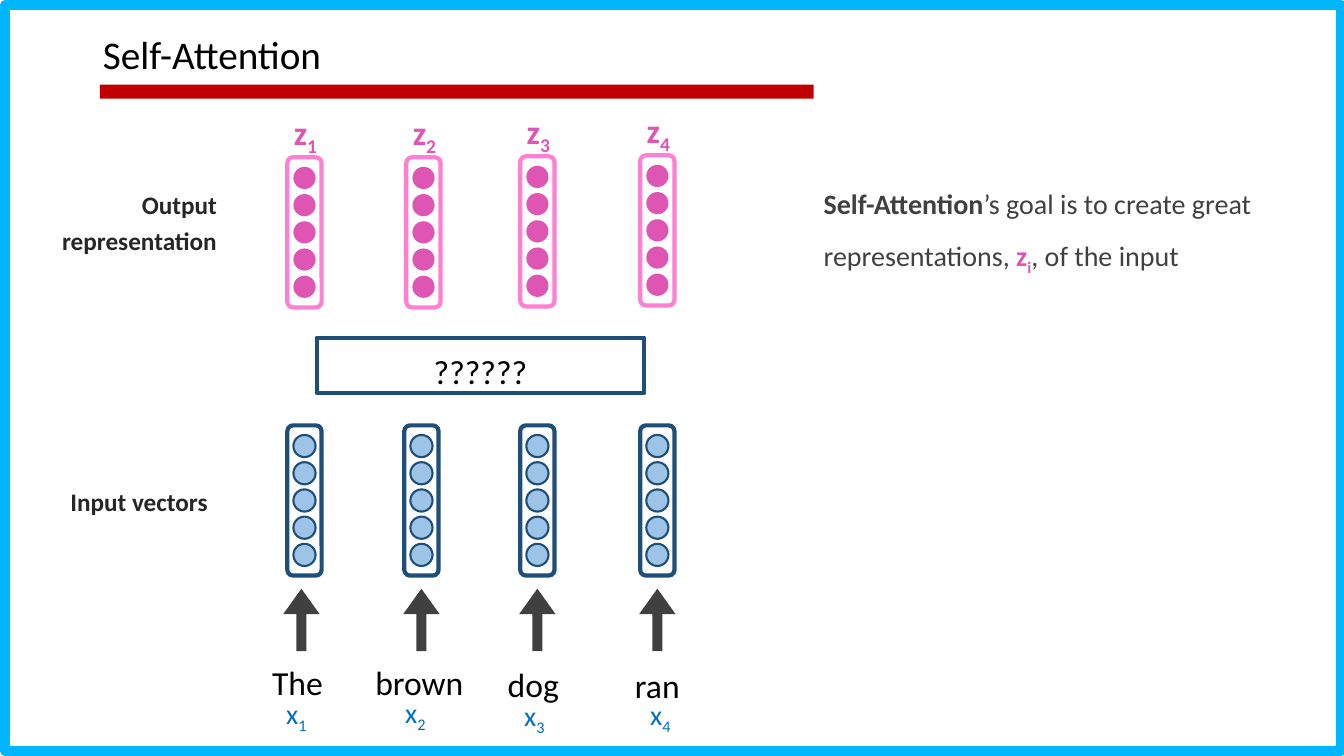
"""Build the Self-Attention slide: input vectors, a hidden step and output representations."""
from dataclasses import dataclass

from pptx import Presentation
from pptx import util as u
from pptx.dml.color import RGBColor
from pptx.enum import shapes, text

FONT = "Calibri"
BLACK = RGBColor(0x00, 0x00, 0x00)
WHITE = RGBColor(0xFF, 0xFF, 0xFF)
SKY = RGBColor(0x00, 0xB6, 0xFC)
RED = RGBColor(0xC0, 0x00, 0x00)
INK = RGBColor(0x26, 0x26, 0x26)
GRAY = RGBColor(0x40, 0x40, 0x40)
NAVY = RGBColor(0x1F, 0x4E, 0x79)
PALE_BLUE = RGBColor(0x9D, 0xC3, 0xE6)
BLUE = RGBColor(0x00, 0x70, 0xC0)
PINK = RGBColor(0xFF, 0x7F, 0xD3)
MAGENTA = RGBColor(0xDE, 0x55, 0xB3)

SHAPE = shapes.MSO_SHAPE
LEFT, CENTER, RIGHT = text.PP_ALIGN.LEFT, text.PP_ALIGN.CENTER, text.PP_ALIGN.RIGHT
DOT_COUNT, DOT_SIZE, DOT_STEP = 5, 0.22, 0.27
VECTOR_WIDTH, VECTOR_HEIGHT = 0.34, 1.49
WORD_WIDTH, LABEL_HEIGHT = 1.36, 0.55


@dataclass(frozen=True)
class Box:
    left: float
    top: float
    width: float
    height: float


@dataclass(frozen=True)
class Span:
    text: str
    color: RGBColor = BLACK
    bold: bool = False
    subscript: bool = False


@dataclass(frozen=True)
class VectorStyle:
    outline: RGBColor
    dot_fill: RGBColor
    dot_line: RGBColor | None = None


@dataclass(frozen=True)
class Token:
    word: str
    word_left: float
    word_top: float
    x_left: float
    x_top: float
    arrow_center: float
    input_center: float
    output_center: float
    output_top: float


INPUT_STYLE = VectorStyle(NAVY, PALE_BLUE, NAVY)
OUTPUT_STYLE = VectorStyle(PINK, MAGENTA)
TOKENS = [
    Token("The", 2.27, 6.44, 2.74, 6.86, 2.99, 3.02, 3.02, 1.56),
    Token("brown", 3.48, 6.44, 3.92, 6.85, 4.18, 4.18, 4.2, 1.56),
    Token("dog", 4.61, 6.46, 5.1, 6.88, 5.33, 5.33, 5.33, 1.55),
    Token("ran", 5.84, 6.47, 6.35, 6.87, 6.52, 6.52, 6.52, 1.54),
]


def place(shape, box: Box) -> None:
    shape.left, shape.top = u.Inches(box.left), u.Inches(box.top)
    shape.width, shape.height = u.Inches(box.width), u.Inches(box.height)


def write(shape, spans: list[Span], *, size: float, align=LEFT, spacing: float = 1.0,
          before: float = 0, wrap: bool = True) -> None:
    frame = shape.text_frame
    frame.word_wrap = wrap
    frame.auto_size = text.MSO_AUTO_SIZE.NONE
    frame.vertical_anchor = text.MSO_ANCHOR.TOP
    para = frame.paragraphs[0]
    para.alignment, para.line_spacing = align, spacing
    para.space_before = u.Pt(before)
    for span in spans:
        run = para.add_run()
        run.text = span.text
        run.font.name, run.font.size = FONT, u.Pt(size)
        run.font.bold = span.bold
        run.font.color.rgb = span.color
        if span.subscript:
            run.font._element.set("baseline", "-25000")


def add_text(page, box: Box, spans: list[Span], **style) -> None:
    shape = page.shapes.add_textbox(0, 0, 0, 0)
    place(shape, box)
    write(shape, spans, **style)


def add_figure(page, kind, box: Box, *, fill: RGBColor | None = None,
               line: RGBColor | None = None, weight: float = 1):
    shape = page.shapes.add_shape(kind, 0, 0, 0, 0)
    place(shape, box)
    shape.shadow.inherit = False
    if fill is None:
        shape.fill.background()
    else:
        shape.fill.solid()
        shape.fill.fore_color.rgb = fill
    if line is None:
        shape.line.fill.background()
    else:
        shape.line.color.rgb = line
        shape.line.width = u.Pt(weight)
    return shape


def add_vector(page, center: float, top: float, style: VectorStyle) -> None:
    outline = Box(center - VECTOR_WIDTH / 2, top, VECTOR_WIDTH, VECTOR_HEIGHT)
    add_figure(page, SHAPE.ROUNDED_RECTANGLE, outline, line=style.outline, weight=3)
    first = top + (VECTOR_HEIGHT - DOT_SIZE - (DOT_COUNT - 1) * DOT_STEP) / 2
    for index in range(DOT_COUNT):
        dot = Box(center - DOT_SIZE / 2, first + index * DOT_STEP, DOT_SIZE, DOT_SIZE)
        add_figure(page, SHAPE.OVAL, dot, fill=style.dot_fill, line=style.dot_line, weight=1.5)


def add_token(page, number: int, token: Token) -> None:
    label = {"size": 24, "align": CENTER, "spacing": 1.2, "before": 10}
    add_text(page, Box(token.output_center - 0.27, token.output_top - 0.59, 0.56, LABEL_HEIGHT),
             [Span("z", MAGENTA, True), Span(str(number), MAGENTA, True, True)], **label)
    add_vector(page, token.output_center, token.output_top, OUTPUT_STYLE)
    add_vector(page, token.input_center, 4.22, INPUT_STYLE)
    arrow = add_figure(page, SHAPE.UP_ARROW, Box(token.arrow_center - 0.18, 5.84, 0.36, 0.62),
                       fill=GRAY)
    arrow.adjustments[0], arrow.adjustments[1] = 0.28, 0.7
    add_text(page, Box(token.word_left, token.word_top, WORD_WIDTH, LABEL_HEIGHT),
             [Span(token.word)], **label)
    add_text(page, Box(token.x_left, token.x_top, 0.45, 0.44),
             [Span("x", BLUE), Span(str(number), BLUE, subscript=True)], size=20, wrap=False)


def main() -> None:
    deck = Presentation()
    deck.slide_width, deck.slide_height = u.Inches(13.33), u.Inches(7.5)
    page = deck.slides.add_slide(deck.slide_layouts[5])

    add_figure(page, SHAPE.RECTANGLE, Box(0.05, 0.05, 13.25, 7.4), fill=WHITE, line=SKY, weight=7)
    add_figure(page, SHAPE.RECTANGLE, Box(0.99, 0.84, 7.08, 0.14), fill=RED)
    title = page.shapes.title
    title.element.getparent().append(title.element)
    place(title, Box(0.92, 0.3, 9.65, 0.68))
    write(title, [Span("Self-Attention")], size=28, spacing=0.9)

    for caption, box in (("Output representation", Box(0.3, 1.77, 1.95, 0.52)),
                         ("Input vectors", Box(0.49, 4.72, 1.67, 0.52))):
        add_text(page, box, [Span(caption, INK, True)], size=18, align=RIGHT,
                 spacing=1.2, before=10)

    for number, token in enumerate(TOKENS, start=1):
        add_token(page, number, token)

    mystery = add_figure(page, SHAPE.RECTANGLE, Box(3.14, 3.35, 3.25, 0.55), line=NAVY, weight=3)
    write(mystery, [Span("??????")], size=24, align=CENTER, spacing=1.2, before=10)

    goal = [
        Span("Self-Attention", GRAY, True),
        Span("’s goal is to create great representations, ", GRAY),
        Span("z", MAGENTA, True),
        Span("i", MAGENTA, True, True),
        Span(", of the input", GRAY),
    ]
    add_text(page, Box(8.07, 1.63, 4.89, 1.07), goal, size=20, spacing=1.5)
    deck.save("out.pptx")


if __name__ == "__main__":
    main()
